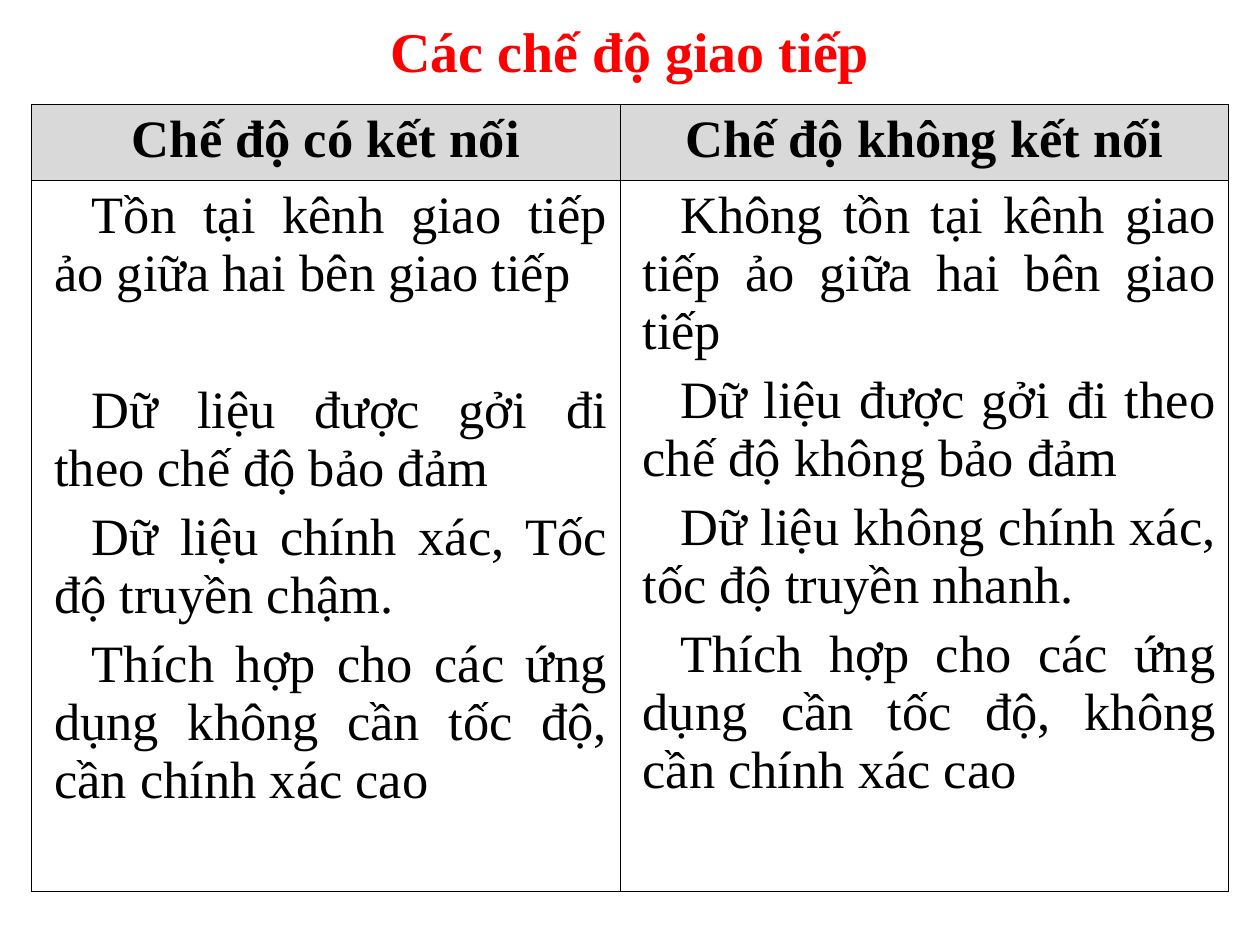
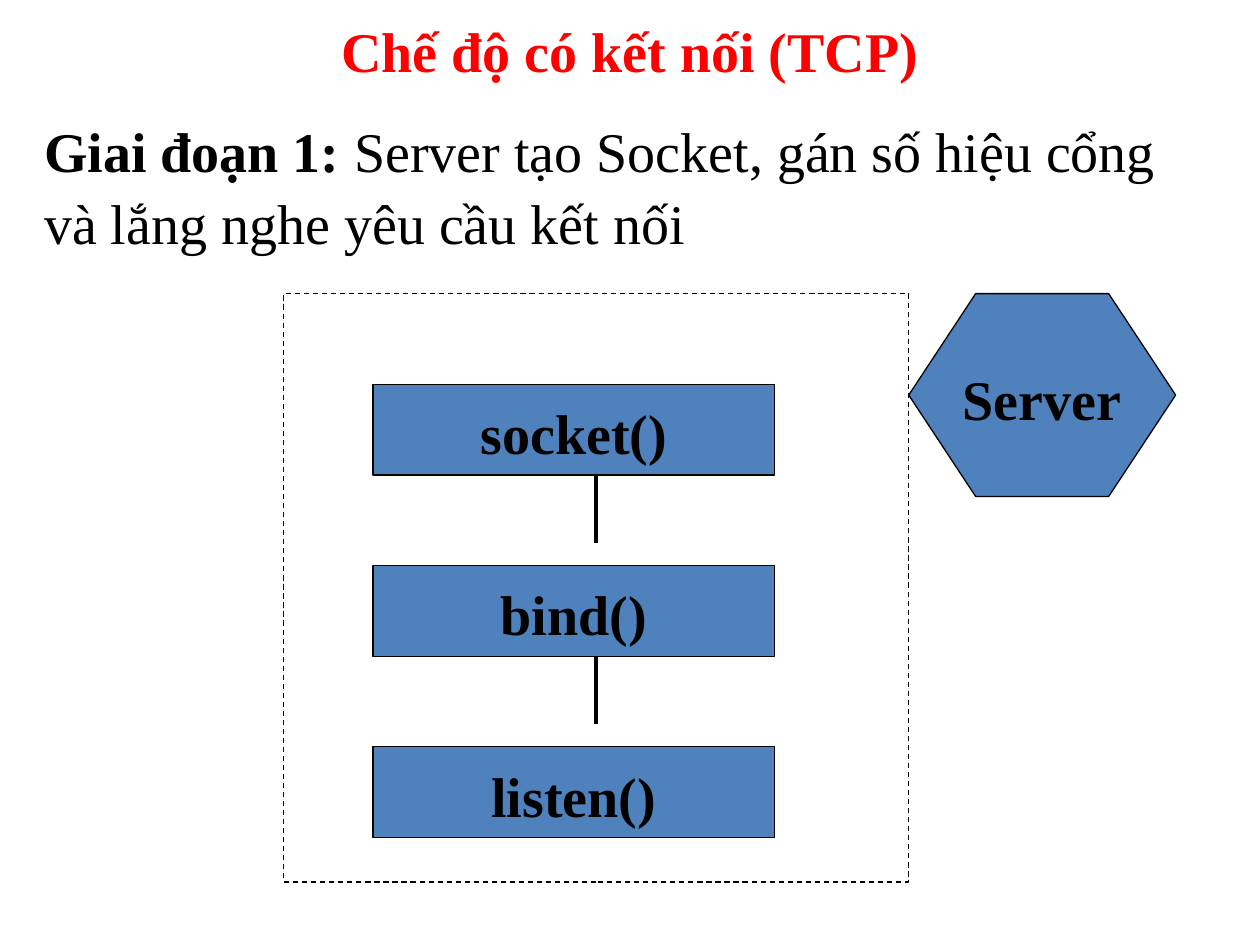
from dataclasses import dataclass

from lxml import etree
from pptx import Presentation
from pptx import util as u
from pptx.dml.color import RGBColor
from pptx.enum import dml, shapes, text
from pptx.oxml import ns

# Content
MODES_TITLE = "Các chế độ giao tiếp"
# Each point: text, space before in points
MODES = {
    "Chế độ có kết nối": [
        ("Tồn tại kênh giao tiếp ảo giữa hai bên giao tiếp", 0),
        ("Dữ liệu được gởi đi theo chế độ bảo đảm", 45),
        ("Dữ liệu chính xác, Tốc độ truyền chậm.", 6),
        ("Thích hợp cho các ứng dụng không cần tốc độ, cần chính xác cao", 6),
    ],
    "Chế độ không kết nối": [
        ("Không tồn tại kênh giao tiếp ảo giữa hai bên giao tiếp", 0),
        ("Dữ liệu được gởi đi theo chế độ không bảo đảm", 6),
        ("Dữ liệu không chính xác, tốc độ truyền nhanh.", 6),
        ("Thích hợp cho các ứng dụng cần tốc độ, không cần chính xác cao", 6),
    ],
}
TCP_TITLE = "Chế độ có kết nối (TCP)"
PHASE = [
    ("Giai đoạn 1: ", True),
    ("Server tạo Socket, gán số hiệu cổng và lắng nghe yêu cầu kết nối", False),
]
CALLS = ["socket()", "bind()", "listen()"]
HOST = "Server"


@dataclass(frozen=True)
class Theme:
    font: str = "Times New Roman"
    ink: RGBColor = RGBColor(0, 0, 0)
    title: RGBColor = RGBColor(0xFF, 0, 0)
    header: RGBColor = RGBColor(0xD9, 0xD9, 0xD9)
    block: RGBColor = RGBColor(0x4F, 0x81, 0xBD)
    size: u.Pt = u.Pt(32)
    table_size: u.Pt = u.Pt(30)
    outline: u.Pt = u.Pt(0.75)
    link: u.Pt = u.Pt(2.25)
    border: u.Pt = u.Pt(0.45)
    leading: float = 1.08


THEME = Theme()
CENTER = text.PP_ALIGN.CENTER
MARGIN, CONTENT_TOP, CONTENT_WIDTH = u.Cm(0.64), u.Cm(2.11), u.Cm(24.13)


# Text helpers
def write(paragraph, runs, size=THEME.size, color=THEME.ink,
          align=text.PP_ALIGN.LEFT, leading=THEME.leading):
    paragraph.alignment = align
    paragraph.line_spacing = leading
    for words, bold in runs:
        run = paragraph.add_run()
        run.text = words
        run.font.name, run.font.size, run.font.bold = THEME.font, size, bold
        run.font.color.rgb = color


def add_text(slide, box, runs, anchor=text.MSO_ANCHOR.TOP, **style):
    frame = slide.shapes.add_textbox(*box).text_frame
    frame.word_wrap = True
    frame.vertical_anchor = anchor
    write(frame.paragraphs[0], runs, **style)


def add_titled_slide(deck, title):
    slide = deck.slides.add_slide(deck.slide_layouts[6])
    add_text(slide, (u.Cm(1.27), 0, u.Cm(22.86), u.Cm(1.9)), [(title, True)],
             anchor=text.MSO_ANCHOR.MIDDLE, color=THEME.title, align=CENTER)
    return slide


# Table helpers
def set_borders(cell):
    props = cell._tc.get_or_add_tcPr()
    for position, side in enumerate(("lnL", "lnR", "lnT", "lnB")):
        line = etree.Element(ns.qn(f"a:{side}"), w=str(int(THEME.border)))
        fill = etree.SubElement(line, ns.qn("a:solidFill"))
        etree.SubElement(fill, ns.qn("a:srgbClr"), val=str(THEME.ink))
        props.insert(position, line)


def add_modes_table(slide):
    heights = (u.Cm(1.47), u.Cm(14.33))
    table = slide.shapes.add_table(2, len(MODES), MARGIN, CONTENT_TOP,
                                   CONTENT_WIDTH, sum(heights)).table
    for row, height in zip(table.rows, heights):
        row.height = height
    for column, width in zip(table.columns, (u.Cm(11.86), u.Cm(12.27))):
        column.width = width

    for index, (mode, points) in enumerate(MODES.items()):
        header, body = table.cell(0, index), table.cell(1, index)
        header.fill.solid()
        header.fill.fore_color.rgb = THEME.header
        body.fill.background()
        write(header.text_frame.paragraphs[0], [(mode, True)],
              size=THEME.table_size, align=CENTER, leading=1.0)
        for number, (point, gap) in enumerate(points):
            frame = body.text_frame
            paragraph = frame.add_paragraph() if number else frame.paragraphs[0]
            props = paragraph._p.get_or_add_pPr()
            props.set("marL", str(u.Cm(0.2)))
            props.set("indent", str(u.Cm(0.76)))
            write(paragraph, [(point, False)], size=THEME.table_size,
                  align=text.PP_ALIGN.JUSTIFY, leading=1.0)
            if gap:
                paragraph.space_before = u.Pt(gap)
        for cell in (header, body):
            set_borders(cell)


# Diagram helpers
def add_outline(slide, kind, box):
    shape = slide.shapes.add_shape(kind, *box)
    shape.shadow.inherit = False
    shape.fill.background()
    shape.line.color.rgb = THEME.ink
    shape.line.width = THEME.outline
    return shape


def add_block(slide, kind, box, label):
    block = add_outline(slide, kind, box)
    block.fill.solid()
    block.fill.fore_color.rgb = THEME.block
    frame = block.text_frame
    frame.word_wrap = False
    frame.vertical_anchor = text.MSO_ANCHOR.MIDDLE
    write(frame.paragraphs[0], [(label, True)], align=CENTER)
    return block


def add_link(slide, x, top, bottom):
    link = slide.shapes.add_connector(shapes.MSO_CONNECTOR.STRAIGHT,
                                      x, top, x, bottom)
    link.line.color.rgb = THEME.ink
    link.line.width = THEME.link
    etree.SubElement(link._element.spPr, ns.qn("a:effectLst"))


def add_server_diagram(slide):
    rectangle = shapes.MSO_SHAPE.RECTANGLE
    left, top, width, height = u.Cm(5.72), u.Cm(5.92), u.Cm(12.6), u.Cm(11.86)
    stage = add_outline(slide, rectangle, (left, top, width, height))
    stage.line.dash_style = dml.MSO_LINE.DASH

    # Calls at an equal pitch, joined from each one towards the next
    first_top, pitch, call_height = u.Cm(7.75), u.Cm(3.65), u.Cm(1.83)
    for index, call in enumerate(CALLS):
        call_top = first_top + index * pitch
        add_block(slide, rectangle,
                  (u.Cm(7.52), call_top, u.Cm(8.1), call_height), call)
        if index < len(CALLS) - 1:
            bottom = call_top + call_height
            add_link(slide, left + width // 2, bottom, bottom + u.Cm(1.37))

    host = add_block(slide, shapes.MSO_SHAPE.HEXAGON,
                     (left + width, top, u.Cm(5.38), u.Cm(4.09)), HOST)
    host.adjustments[0] = 0.33


def main():
    deck = Presentation()
    deck.slide_width, deck.slide_height = u.Cm(25.4), u.Cm(19.05)

    # Communication modes compared
    add_modes_table(add_titled_slide(deck, MODES_TITLE))

    # First phase of the connected mode
    tcp = add_titled_slide(deck, TCP_TITLE)
    add_text(tcp, (MARGIN, CONTENT_TOP, CONTENT_WIDTH, u.Cm(3.4)), PHASE)
    add_server_diagram(tcp)

    deck.save("out.pptx")


if __name__ == "__main__":
    main()
